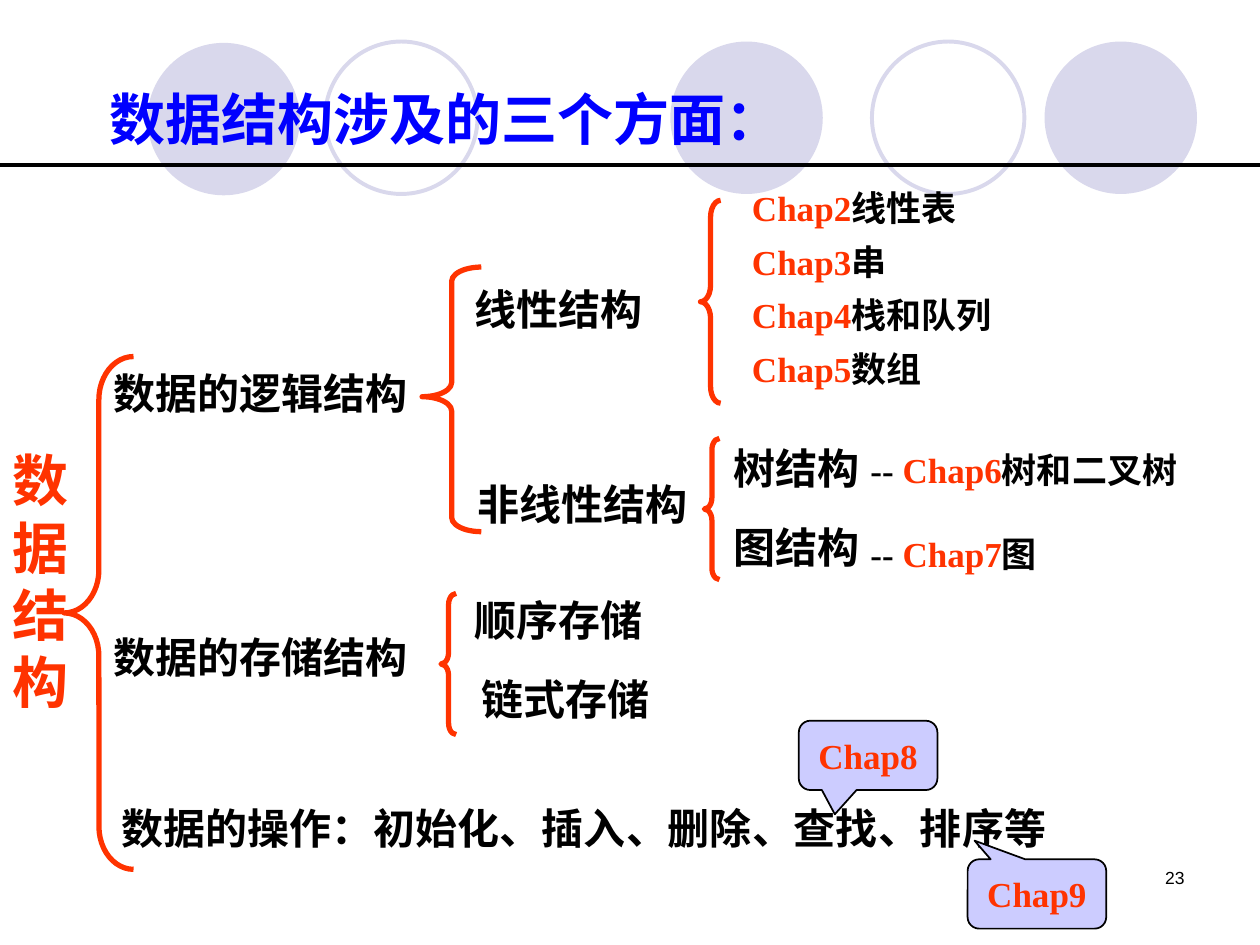
"""Build the slide on the three aspects of data structures."""
from lxml import etree
from pptx import Presentation
from pptx.dml.color import RGBColor
from pptx.enum import shapes, text
from pptx.oxml.ns import qn
from pptx.util import Inches, Pt

BLACK = RGBColor(0x00, 0x00, 0x00)
BLUE = RGBColor(0x00, 0x00, 0xFF)
ORANGE = RGBColor(0xFF, 0x33, 0x00)
LAVENDER = RGBColor(0xCC, 0xCC, 0xFF)
PALE = RGBColor(0xD9, 0xD8, 0xEC)
SERIF = "Times New Roman"
LEFT, CENTER, RIGHT = text.PP_ALIGN.LEFT, text.PP_ALIGN.CENTER, text.PP_ALIGN.RIGHT
TOP, MIDDLE = text.MSO_ANCHOR.TOP, text.MSO_ANCHOR.MIDDLE


def write(holder, runs, size, align=LEFT, anchor=TOP, face=SERIF, bold=True):
    frame = holder.text_frame
    layout = {"word_wrap": True, "auto_size": text.MSO_AUTO_SIZE.NONE,
              "vertical_anchor": anchor,
              "margin_left": Inches(0.1), "margin_right": Inches(0.1),
              "margin_top": Inches(0.05), "margin_bottom": Inches(0.05)}
    for name, value in layout.items():
        setattr(frame, name, value)
    line = frame.paragraphs[0]
    for name, value in {"alignment": align, "space_before": Pt(0), "line_spacing": 1.0}.items():
        setattr(line, name, value)
    for words, color in runs:
        run = line.add_run()
        run.text = words
        for name, value in {"name": face, "size": Pt(size), "bold": bold}.items():
            setattr(run.font, name, value)
        run.font.color.rgb = color


def add_preset(kind, box, fill, stroke, weight):
    shape = slide.shapes.add_shape(kind, *map(Inches, box))
    shape.shadow.inherit = False
    if fill is None:
        shape.fill.background()
    else:
        shape.fill.solid()
        shape.fill.fore_color.rgb = fill
    if stroke is None:
        shape.line.fill.background()
    else:
        shape.line.color.rgb = stroke
        shape.line.width = Pt(weight)
    return shape


deck = Presentation()
deck.slide_width, deck.slide_height = Inches(10), Inches(7.5)
slide = deck.slides.add_slide(deck.slide_layouts[5])

for left, top, filled in [(5.32, 0.33, True), (8.29, 0.33, True), (1.17, 0.34, True),
                          (6.92, 0.33, False), (2.58, 0.33, False)]:
    add_preset(shapes.MSO_SHAPE.OVAL, (left, top, 1.21, 1.21),
               PALE if filled else None, None if filled else PALE, 2.25)

rule = slide.shapes.add_connector(shapes.MSO_CONNECTOR.STRAIGHT,
                                  Inches(0), Inches(1.31), Inches(10), Inches(1.31))
rule.line.color.rgb = BLACK
rule.line.width = Pt(2.5)
etree.SubElement(rule._element.spPr, qn("a:effectLst"))

title = slide.shapes.title
slide.shapes._spTree.append(title._element)
for name, value in {"left": 0.77, "top": 0.62, "width": 6.5, "height": 0.64}.items():
    setattr(title, name, Inches(value))
write(title, [("数据结构涉及的三个方面：", BLUE)], 32)

for box, curve, point in [((0.51, 2.83, 0.55, 4.07), 0.62, 0.5),
                          ((3.5, 4.71, 0.12, 1.12), 0.75, 0.5),
                          ((3.35, 2.12, 0.47, 2.1), 0.24, 0.49),
                          ((5.56, 1.59, 0.16, 1.61), 0.83, 0.5),
                          ((5.59, 3.48, 0.12, 1.12), 0.75, 0.5)]:
    brace = add_preset(shapes.MSO_SHAPE.LEFT_BRACE, box, None, ORANGE, 3)
    brace.adjustments[0], brace.adjustments[1] = curve, point

topics = [
    (0.8, 2.87, 2.7, "数据的逻辑结构"),
    (0.8, 4.96, 2.7, "数据的存储结构"),
    (0.87, 6.32, 7.8, "数据的操作：初始化、插入、删除、查找、排序等"),
    (3.67, 2.2, 1.87, "线性结构"),
    (3.69, 3.75, 2.0, "非线性结构"),
    (3.67, 4.67, 2.0, "顺序存储"),
    (3.72, 5.3, 2.0, "链式存储"),
    (5.72, 3.46, 1.3, "树结构"),
    (5.72, 4.09, 1.3, "图结构"),
]
for left, top, width, words in topics:
    topic = slide.shapes.add_textbox(*map(Inches, (left, top, width, 0.5)))
    write(topic, [(words, BLACK)], 24)

for row, subject in enumerate(["线性表", "串", "栈和队列", "数组"]):
    chapter = slide.shapes.add_textbox(*map(Inches, (5.87, 1.43 + row * 1.28 / 3, 3.07, 0.49)))
    write(chapter, [(f"Chap{row + 2}", ORANGE), (subject, BLACK)], 20)

for row, subject in enumerate(["树和二叉树", "图"]):
    chapter = slide.shapes.add_textbox(*map(Inches, (6.81, 3.51 + row * 0.67, 3.07, 0.44)))
    write(chapter, [("-- ", BLACK), (f"Chap{row + 6}", ORANGE), (subject, BLACK)], 20)

root = slide.shapes.add_textbox(*map(Inches, (0, 3.49, 0.39, 2.24)))
write(root, [("数据结构", ORANGE)], 32)

for left, top, tip, words in [(6.34, 5.72, (-0.24, 0.85), "Chap8"),
                              (7.68, 6.82, (-0.45, -0.77), "Chap9")]:
    callout = add_preset(shapes.MSO_SHAPE.ROUNDED_RECTANGULAR_CALLOUT,
                         (left, top, 1.1, 0.55), LAVENDER, BLACK, 1)
    callout.adjustments[0], callout.adjustments[1] = tip
    write(callout, [(words, ORANGE)], 20, CENTER, MIDDLE)

page_number = slide.shapes.add_textbox(*map(Inches, (7.17, 6.83, 2.33, 0.5)))
write(page_number, [("23", BLACK)], 10, RIGHT, face="Arial", bold=False)

deck.save("out.pptx")
